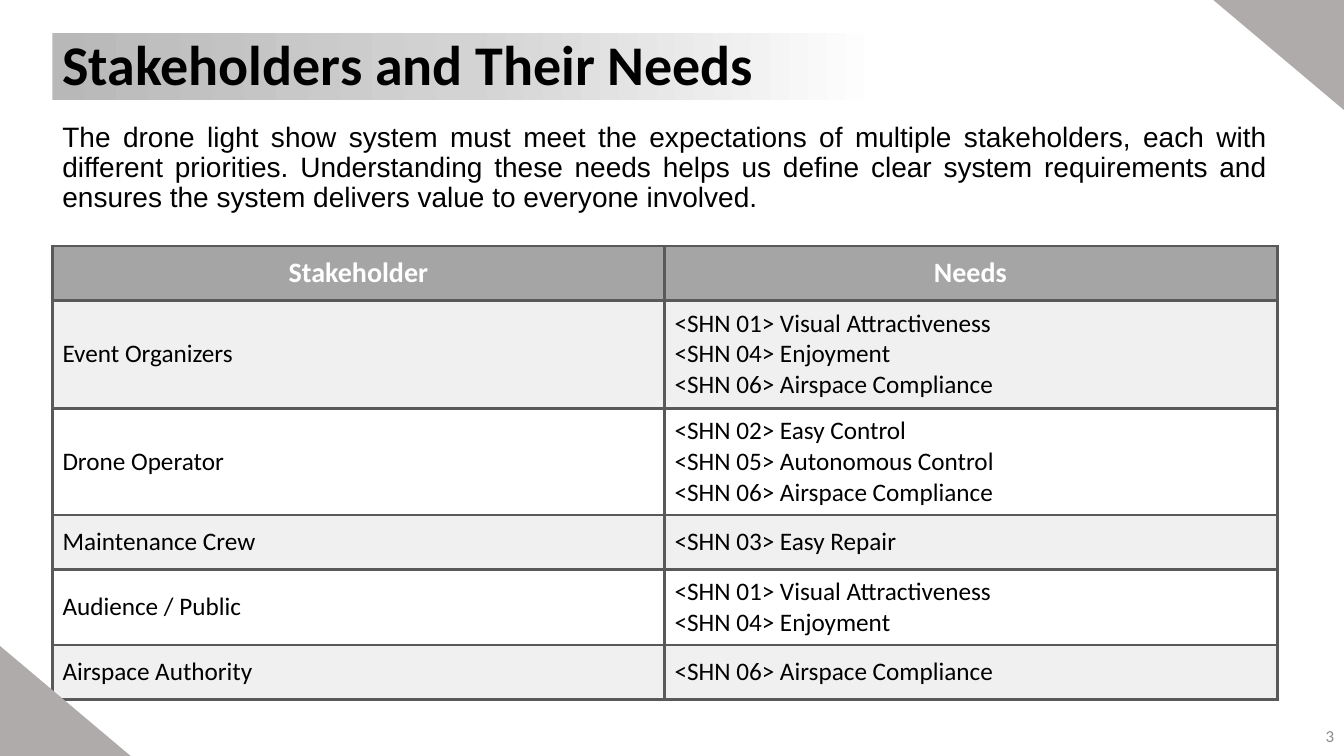
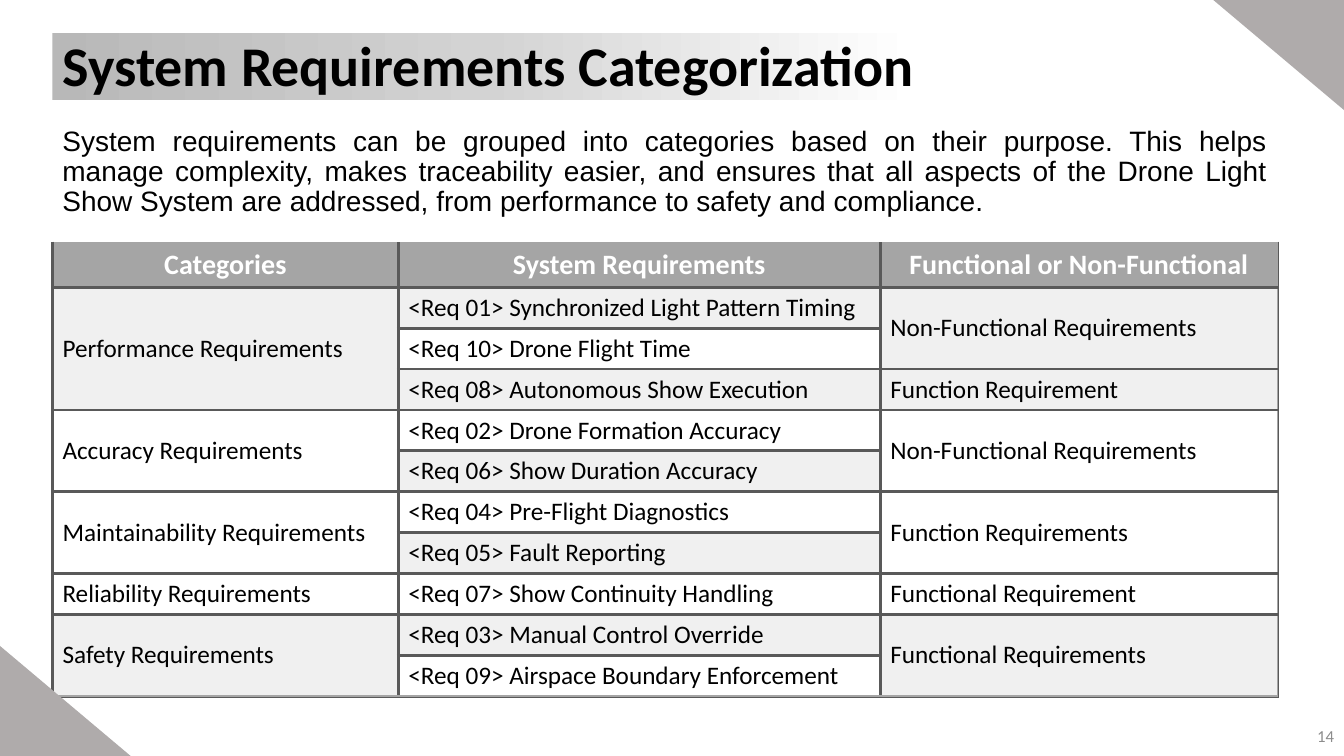
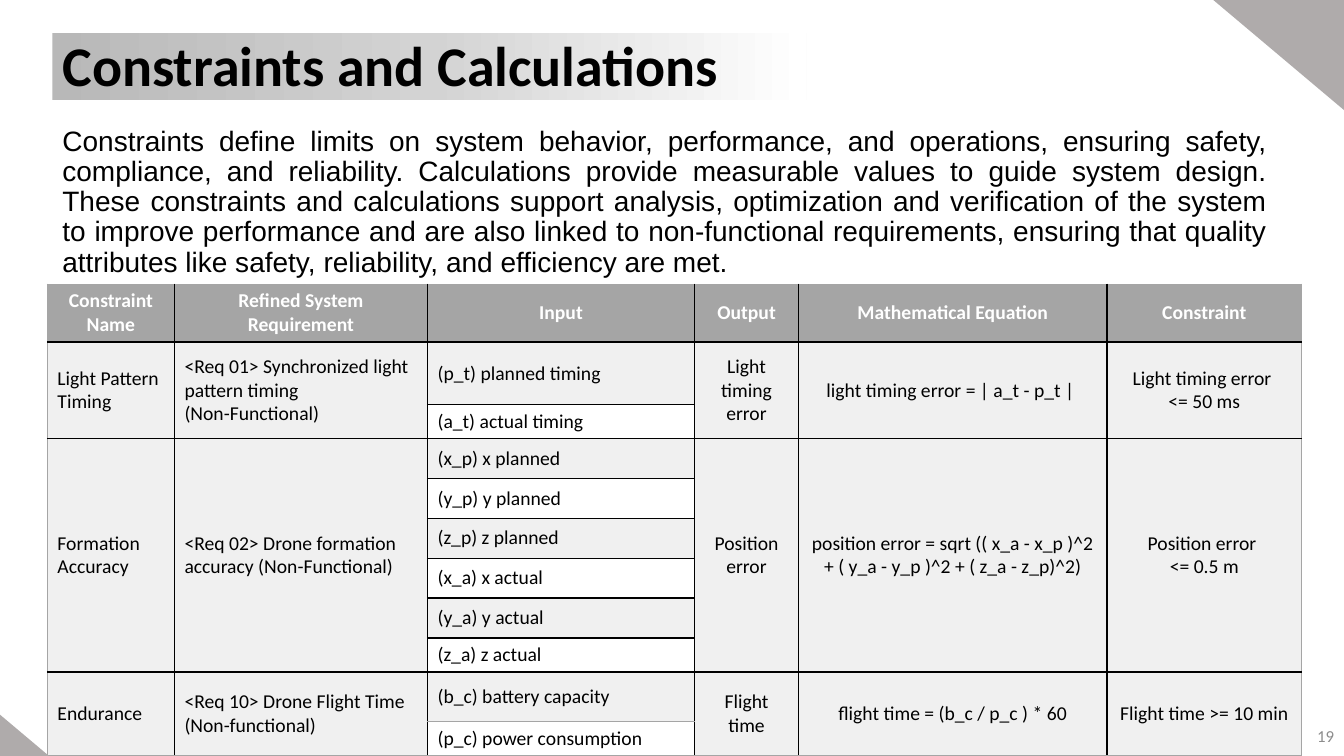
from dataclasses import dataclass
from typing import Optional

from pptx import Presentation
from pptx.dml.color import RGBColor
from pptx.enum.shapes import MSO_SHAPE
from pptx.enum.text import MSO_ANCHOR, MSO_AUTO_SIZE, PP_ALIGN
from pptx.oxml.ns import qn
from pptx.oxml.xmlchemy import OxmlElement
from pptx.util import Inches, Pt

BLACK = RGBColor(0x00, 0x00, 0x00)
WHITE = RGBColor(0xFF, 0xFF, 0xFF)
DARK = RGBColor(0x59, 0x59, 0x59)
HEADER = RGBColor(0xA5, 0xA5, 0xA5)
STRIPE = RGBColor(0xF0, 0xF0, 0xF0)
CORNER = RGBColor(0xAF, 0xAB, 0xAB)
NUMBER = RGBColor(0x8C, 0x8C, 0x8C)
TITLE_BAND = ((0, RGBColor(0xB8, 0xB8, 0xB8)), (50, RGBColor(0xD3, 0xD3, 0xD3)), (100, WHITE))

LEFT, CONTENT_WIDTH = 0.52, 12.15
FRAME_HEIGHT = 4.5
TOP_RIGHT = (11.91, -0.52)
BOTTOM_LEFT = (-0.95, 6.8)


@dataclass(frozen=True)
class Line:
    color: RGBColor
    width: float


THICK = Line(DARK, 2.25)
BLACK_LINE = Line(BLACK, 1)
PALE_LINE = Line(HEADER, 1)


@dataclass
class TableSpec:
    """Rows hold cell texts; None joins a cell to the one above it."""
    left: float
    top: float
    cols: list[float]
    heights: list[float]
    rows: list[tuple]
    inner: Line = THICK
    left_edge: Line = PALE_LINE
    header_size: int = 20
    body_size: int = 18
    centred: tuple[int, ...] = ()
    pale_above: Optional[int] = None
    frame: str = ""


@dataclass
class SlideSpec:
    title: str
    number: int
    band_width: float
    intro: str
    intro_top: float
    intro_height: float
    table: TableSpec
    title_top: float = -0.05
    bottom_corner: tuple[float, float] = BOTTOM_LEFT


STAKEHOLDERS = TableSpec(
    left=LEFT, top=2.44, cols=[6.07, 6.07],
    heights=[0.54, 1.07, 1.06, 0.54, 0.75, 0.54],
    rows=[
        ("Stakeholder", "Needs"),
        ("Event Organizers",
         "<SHN 01> Visual Attractiveness\n<SHN 04> Enjoyment\n<SHN 06> Airspace Compliance"),
        ("Drone Operator",
         "<SHN 02> Easy Control\n<SHN 05> Autonomous Control\n<SHN 06> Airspace Compliance"),
        ("Maintenance Crew", "<SHN 03> Easy Repair"),
        ("Audience / Public", "<SHN 01> Visual Attractiveness\n<SHN 04> Enjoyment"),
        ("Airspace Authority", "<SHN 06> Airspace Compliance"),
    ],
    frame="front")

REQUIREMENTS = TableSpec(
    left=LEFT, top=2.41, cols=[3.43, 4.78, 3.94],
    heights=[0.44] + [4.05 / 10] * 10,
    rows=[
        ("Categories", "System Requirements", "Functional or Non-Functional"),
        ("Performance Requirements", "<Req 01> Synchronized Light Pattern Timing",
         "Non-Functional Requirements"),
        (None, "<Req 10> Drone Flight Time", None),
        (None, "<Req 08> Autonomous Show Execution", "Function Requirement"),
        ("Accuracy Requirements", "<Req 02> Drone Formation Accuracy",
         "Non-Functional Requirements"),
        (None, "<Req 06> Show Duration Accuracy", None),
        ("Maintainability Requirements", "<Req 04> Pre-Flight Diagnostics",
         "Function Requirements"),
        (None, "<Req 05> Fault Reporting", None),
        ("Reliability Requirements", "<Req 07> Show Continuity Handling",
         "Functional Requirement"),
        ("Safety Requirements", "<Req 03> Manual Control Override",
         "Functional Requirements"),
        (None, "<Req 09> Airspace Boundary Enforcement", None),
    ],
    left_edge=THICK, frame="back")

CONSTRAINTS = TableSpec(
    left=0.47, top=2.82, cols=[1.26, 2.51, 2.65, 1.03, 3.06, 1.93],
    heights=[0.57, 0.62, 0.33] + [1.98 / 5] * 5 + [0.33, 0.49, 0.33],
    rows=[
        ("Constraint Name", "Refined System Requirement", "Input", "Output",
         "Mathematical Equation", "Constraint"),
        ("Light Pattern Timing",
         "<Req 01> Synchronized light pattern timing\n(Non-Functional)",
         "(p_t) planned timing", "Light timing error",
         "light timing error = | a_t - p_t | ", "Light timing error \n<= 50 ms"),
        (None, None, "(a_t) actual timing", None, None, None),
        ("Formation Accuracy", "<Req 02> Drone formation accuracy (Non-Functional)",
         "(x_p) x planned", "Position error",
         "position error = sqrt (( x_a - x_p )^2 + ( y_a - y_p )^2 + ( z_a - z_p)^2)",
         "Position error \n<= 0.5 m"),
        (None, None, "(y_p) y planned", None, None, None),
        (None, None, "(z_p) z planned", None, None, None),
        (None, None, "(x_a) x actual", None, None, None),
        (None, None, "(y_a) y actual", None, None, None),
        (None, None, "(z_a) z actual", None, None, None),
        ("Endurance", "<Req 10> Drone Flight Time (Non-functional)",
         "(b_c) battery capacity", "Flight time",
         "flight time = (b_c / p_c ) * 60", "Flight time >= 10 min"),
        (None, None, "(p_c) power consumption", None, None, None),
    ],
    inner=BLACK_LINE, header_size=14, body_size=14, centred=(3, 4, 5), pale_above=10)

SLIDES = [
    SlideSpec(
        "Stakeholders and Their Needs", 3, 8.24,
        "The drone light show system must meet the expectations of multiple stakeholders, "
        "each with different priorities. Understanding these needs helps us define clear "
        "system requirements and ensures the system delivers value to everyone involved.",
        1.17, 1.18, STAKEHOLDERS, title_top=-0.06),
    SlideSpec(
        "System Requirements Categorization", 14, 8.57,
        "System requirements can be grouped into categories based on their purpose. This "
        "helps manage complexity, makes traceability easier, and ensures that all aspects of "
        "the Drone Light Show System are addressed, from performance to safety and compliance.",
        1.21, 1.18, REQUIREMENTS),
    SlideSpec(
        "Constraints and Calculations", 19, 7.48,
        "Constraints define limits on system behavior, performance, and operations, ensuring "
        "safety, compliance, and reliability. Calculations provide measurable values to guide "
        "system design. These constraints and calculations support analysis, optimization and "
        "verification of the system to improve performance and are also linked to "
        "non-functional requirements, ensuring that quality attributes like safety, "
        "reliability, and efficiency are met.",
        1.21, 1.6, CONSTRAINTS, bottom_corner=(-1.19, 7.28)),
]


def style_text(tf, size: int, color: RGBColor, align=PP_ALIGN.LEFT, bold: bool = False,
               font: str = "Calibri", spacing: Optional[float] = None) -> None:
    for p in tf.paragraphs:
        p.alignment = align
        if spacing:
            p.line_spacing = spacing
        for r in p.runs:
            r.font.name = font
            r.font.size = Pt(size)
            r.font.bold = bold
            r.font.color.rgb = color


def add_rect(s, left: float, top: float, width: float, height: float):
    sp = s.shapes.add_shape(MSO_SHAPE.RECTANGLE, Inches(left), Inches(top),
                            Inches(width), Inches(height))
    sp.shadow.inherit = False
    sp.line.fill.background()
    return sp


def add_text(s, left: float, top: float, width: float, height: float, text: str):
    tf = s.shapes.add_textbox(Inches(left), Inches(top), Inches(width), Inches(height)).text_frame
    tf.word_wrap = True
    tf.text = text
    return tf


def add_title(s, spec: SlideSpec) -> None:
    """Fill the title placeholder and lay a fading band behind it."""
    band = add_rect(s, LEFT, 0.33, spec.band_width, 0.66)
    band.fill.gradient()
    band.fill.gradient_angle = 0
    stops = band._element.spPr.find(qn("a:gradFill")).find(qn("a:gsLst"))
    for old in list(stops):
        stops.remove(old)
    for percent, color in TITLE_BAND:
        stop = OxmlElement("a:gs")
        stop.set("pos", str(percent * 1000))
        clr = OxmlElement("a:srgbClr")
        clr.set("val", str(color))
        stop.append(clr)
        stops.append(stop)

    title = s.shapes.title
    band._element.addnext(title._element)
    title.left, title.top = Inches(LEFT), Inches(spec.title_top)
    title.width, title.height = Inches(11.5), Inches(1.45)
    tf = title.text_frame
    tf.text = spec.title
    tf.auto_size = MSO_AUTO_SIZE.NONE
    tf.vertical_anchor = MSO_ANCHOR.MIDDLE
    style_text(tf, 40, BLACK, bold=True, spacing=0.9)


def set_borders(cell, left: Line, right: Line, top: Line, bottom: Line) -> None:
    """Give a cell its four lines; call it before the cell is filled."""
    for side, line in zip("LRTB", (left, right, top, bottom)):
        ln = OxmlElement(f"a:ln{side}")
        ln.set("w", str(Pt(line.width)))
        fill = OxmlElement("a:solidFill")
        clr = OxmlElement("a:srgbClr")
        clr.set("val", str(line.color))
        fill.append(clr)
        ln.append(fill)
        cell._tc.get_or_add_tcPr().append(ln)


def add_grid(s, left: float, top: float, cols: list[float], heights: list[float]):
    table = s.shapes.add_table(len(heights), len(cols), Inches(left), Inches(top),
                               Inches(sum(cols)), Inches(sum(heights))).table
    table.horz_banding = False
    for col, width in zip(table.columns, cols):
        col.width = Inches(width)
    for row, height in zip(table.rows, heights):
        row.height = Inches(height)
    return table


def add_frame(s, top: float) -> None:
    """Outline the table area with a one-cell table."""
    table = add_grid(s, LEFT, top, [CONTENT_WIDTH], [FRAME_HEIGHT])
    table.first_row = False
    cell = table.cell(0, 0)
    set_borders(cell, THICK, THICK, THICK, THICK)
    cell.fill.background()


def add_table(s, spec: TableSpec) -> None:
    n_rows, n_cols = len(spec.rows), len(spec.cols)
    table = add_grid(s, spec.left, spec.top, spec.cols, spec.heights)
    across = [PALE_LINE if i in (0, n_rows, spec.pale_above) else spec.inner
              for i in range(n_rows + 1)]
    down = [spec.left_edge] + [spec.inner] * (n_cols - 1) + [PALE_LINE]

    for j in range(n_cols):
        starts = [i for i in range(n_rows) if spec.rows[i][j] is not None]
        for first, end in zip(starts, starts[1:] + [n_rows]):
            for i in range(first, end):
                cell = table.cell(i, j)
                set_borders(cell, down[j], down[j + 1], across[first], across[end])
                cell.fill.solid()
                cell.fill.fore_color.rgb = HEADER if i == 0 else STRIPE if i % 2 else WHITE
            cell = table.cell(first, j)
            cell.text = spec.rows[first][j]
            cell.vertical_anchor = MSO_ANCHOR.MIDDLE
            header = first == 0
            style_text(cell.text_frame, spec.header_size if header else spec.body_size,
                       WHITE if header else BLACK,
                       PP_ALIGN.CENTER if header or j in spec.centred else PP_ALIGN.LEFT,
                       bold=header)
            if end - first > 1:
                cell.merge(table.cell(end - 1, j))


def add_corner(s, left: float, top: float) -> None:
    sp = add_rect(s, left, top, 2.38, 1.23)
    sp.rotation = 40.1
    sp.fill.solid()
    sp.fill.fore_color.rgb = CORNER


def build_slide(prs, spec: SlideSpec) -> None:
    s = prs.slides.add_slide(prs.slide_layouts[5])
    add_title(s, spec)
    if spec.table.frame == "back":
        add_frame(s, spec.table.top)
    add_table(s, spec.table)
    if spec.table.frame == "front":
        add_frame(s, spec.table.top)
    intro = add_text(s, LEFT, spec.intro_top, CONTENT_WIDTH, spec.intro_height, spec.intro)
    style_text(intro, 20, BLACK, PP_ALIGN.JUSTIFY, font="Arial", spacing=0.9)
    for corner in (TOP_RIGHT, spec.bottom_corner):
        add_corner(s, *corner)
    number = add_text(s, 10.33, 7.1, 3, 0.4, str(spec.number))
    number.vertical_anchor = MSO_ANCHOR.MIDDLE
    style_text(number, 12, NUMBER, PP_ALIGN.RIGHT)


def main() -> None:
    prs = Presentation()
    prs.slide_width, prs.slide_height = Inches(13.33), Inches(7.5)
    for spec in SLIDES:
        build_slide(prs, spec)
    prs.save("out.pptx")


if __name__ == "__main__":
    main()
